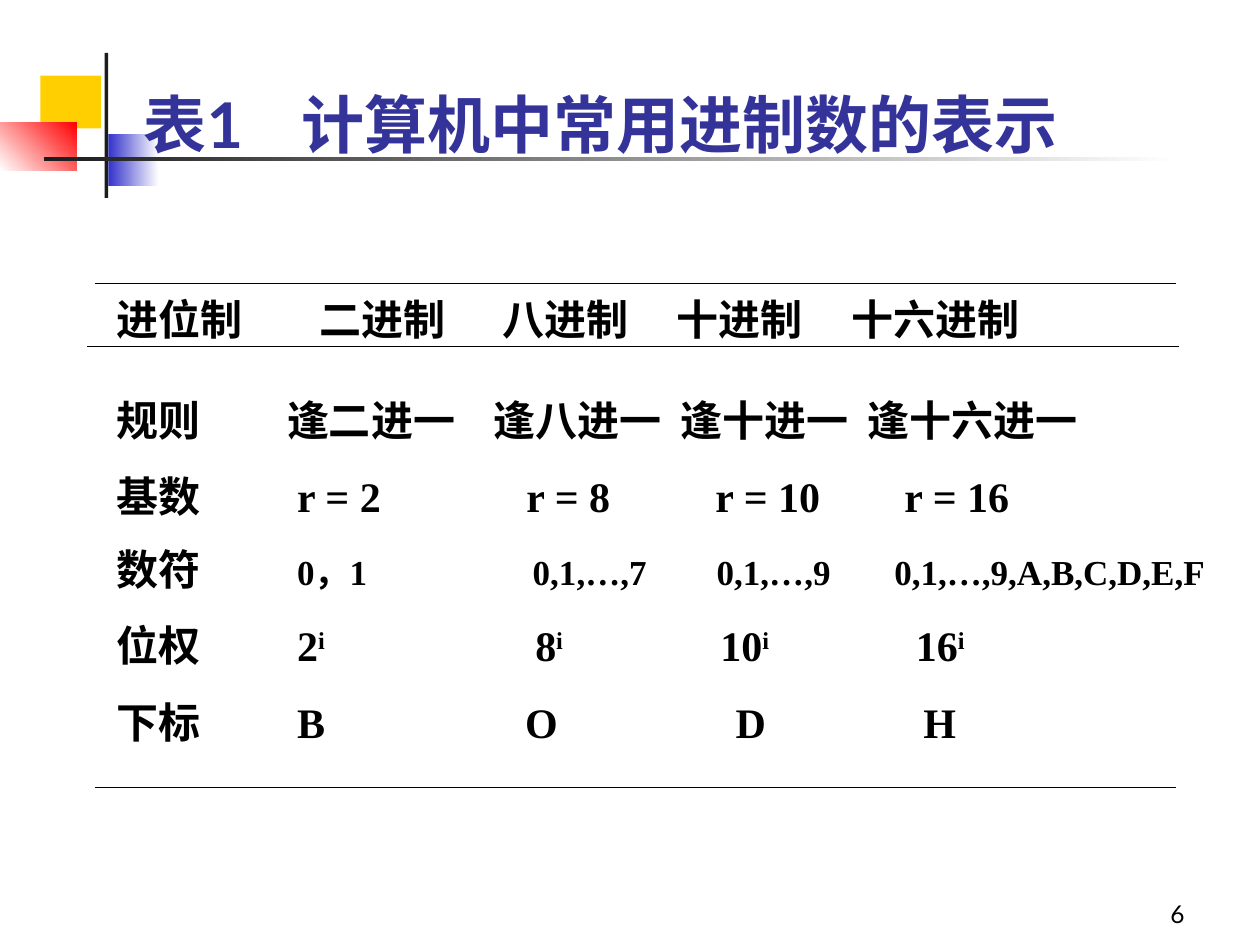
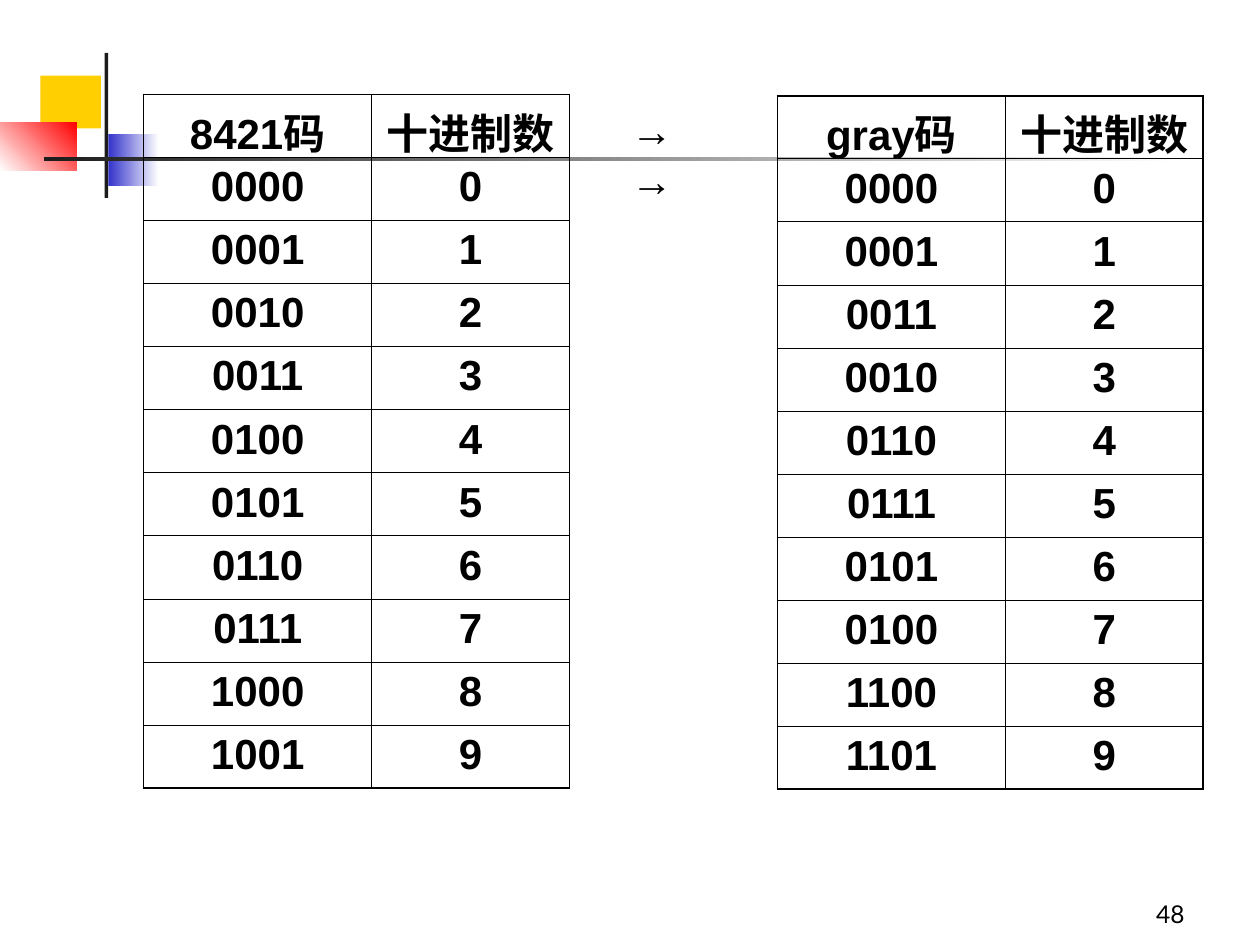
from lxml.etree import SubElement
from pptx import Presentation
from pptx.dml.color import RGBColor
from pptx.enum.shapes import MSO_CONNECTOR, MSO_SHAPE
from pptx.enum.text import MSO_ANCHOR, MSO_AUTO_SIZE, PP_ALIGN
from pptx.oxml.ns import qn
from pptx.util import Inches, Pt

BLACK = RGBColor(0x00, 0x00, 0x00)
WHITE = RGBColor(0xFF, 0xFF, 0xFF)
CHARCOAL = RGBColor(0x1C, 0x1C, 0x1C)
YELLOW = RGBColor(0xFF, 0xCF, 0x01)
BLUE = RGBColor(0x33, 0x33, 0xCC)
RED = RGBColor(0xFF, 0x00, 0x00)
TITLE_BLUE = RGBColor(0x33, 0x33, 0x99)

HEADING_FONT = "Lato"
BODY_FONT = "Times New Roman"
TABLE_FONT = "Arial"

TITLE_ONLY, BLANK = 5, 6

ORNAMENTS = [
    ((0.32, 0.6, 0.48, 0.42), (YELLOW,), 0),
    ((0.86, 1.06, 0.4, 0.42), (BLUE, WHITE), 0),
    ((0, 0.97, 0.61, 0.38), (WHITE, RED), 45),
    ((0.83, 0.42, 0.03, 1.15), (CHARCOAL,), 0),
    ((0.35, 1.25, 9, 0.03), (CHARCOAL, WHITE), 0),
]

RADIX_HEADER = ("进位制", ["二进制", "八进制", "十进制", "十六进制"],
                [1.61, 3.06, 4.44, 5.83], 24, "")
RADIX_ROWS = [
    ("规则", ["逢二进一", "逢八进一", "逢十进一", "逢十六进一"],
     [1.35, 2.99, 4.47, 5.96], 24, ""),
    ("基数", ["r = 2", "r = 8", "r = 10", "r = 16"],
     [1.43, 3.25, 4.75, 6.25], 24, ""),
    ("数符", ["0，1", "0,1,…,7", "0,1,…,9", "0,1,…,9,A,B,C,D,E,F"],
     [1.43, 3.3, 4.76, 6.17], 20, ""),
    ("位权", ["2", "8", "10", "16"], [1.43, 3.32, 4.79, 6.34], 24, "i"),
    ("下标", ["B", "O", "D", "H"], [1.43, 3.24, 4.91, 6.4], 24, ""),
]

CODES_8421 = [f"{digit:04b}" for digit in range(10)]
CODES_GRAY = ["0000", "0001", "0011", "0010", "0110",
              "0111", "0101", "0100", "1100", "1101"]


def inches(lengths):
    return [Inches(length) for length in lengths]


def style(paragraph, font_name, size, color=BLACK, bold=True):
    font = paragraph.font
    font.name, font.size, font.bold = font_name, Pt(size), bold
    font.color.rgb = color


def set_tabs(paragraph, stops):
    tabs = SubElement(paragraph._p.get_or_add_pPr(), qn("a:tabLst"))
    for stop in stops:
        SubElement(tabs, qn("a:tab"), pos=str(Inches(stop)), algn="l")


def add_ornaments(slide):
    for place, colors, angle in ORNAMENTS:
        ornament = slide.shapes.add_shape(MSO_SHAPE.RECTANGLE, *inches(place))
        ornament.shadow.inherit = False
        ornament.line.fill.background()
        if len(colors) == 1:
            ornament.fill.solid()
            ornament.fill.fore_color.rgb = colors[0]
            continue
        ornament.fill.gradient()
        ornament.fill.gradient_angle = angle
        for stop, color in zip(ornament.fill.gradient_stops, colors):
            stop.color.rgb = color


def add_text_frame(slide, place, wrap=True):
    frame = slide.shapes.add_textbox(*inches(place)).text_frame
    frame.word_wrap = wrap
    return frame


def add_page_number(slide, number):
    frame = add_text_frame(slide, (7.42, 6.92, 2.08, 0.5))
    frame.vertical_anchor = MSO_ANCHOR.BOTTOM
    paragraph = frame.paragraphs[0]
    paragraph.text = str(number)
    paragraph.alignment = PP_ALIGN.RIGHT
    style(paragraph, HEADING_FONT, 14, bold=False)


def add_base(presentation, layout, number):
    slide = presentation.slides.add_slide(presentation.slide_layouts[layout])
    add_ornaments(slide)
    add_page_number(slide, number)
    return slide


def set_title(slide, text, tab):
    title = slide.shapes.title
    slide.shapes._spTree.append(title._element)
    title.left, title.top, title.width, title.height = inches((0.92, 0.08, 8.5, 1.25))
    frame = title.text_frame
    frame.auto_size = MSO_AUTO_SIZE.NONE
    frame.vertical_anchor = MSO_ANCHOR.BOTTOM
    frame.margin_left = Inches(0.22)
    paragraph = frame.paragraphs[0]
    paragraph.text = text
    paragraph.alignment = PP_ALIGN.LEFT
    set_tabs(paragraph, [tab])
    style(paragraph, HEADING_FONT, 36, TITLE_BLUE)


def add_rule(slide, left, right, y):
    rule = slide.shapes.add_connector(
        MSO_CONNECTOR.STRAIGHT, *inches((left, y, right, y)))
    rule.line.color.rgb = BLACK
    rule.line.width = Pt(0.75)
    SubElement(rule._element.spPr, qn("a:effectLst"))


def fill_radix_row(paragraph, label, values, stops, value_size, exponent):
    set_tabs(paragraph, stops)
    style(paragraph, BODY_FONT, 24)
    paragraph.add_run().text = label
    for value in values:
        entry = paragraph.add_run()
        entry.text = "\t" + value
        if value_size != 24:
            entry.font.size = Pt(value_size)
        if exponent:
            power = paragraph.add_run()
            power.text = exponent
            power._r.get_or_add_rPr().set("baseline", "30000")


def add_radix_rows(slide, place, rows):
    frame = add_text_frame(slide, place)
    frame.margin_right = 0
    for index, row in enumerate(rows):
        paragraph = frame.add_paragraph() if index else frame.paragraphs[0]
        paragraph.space_before = Pt(row[3] * 0.625)
        fill_radix_row(paragraph, *row)


def set_border(cell, side, width):
    border = SubElement(cell._tc.get_or_add_tcPr(), qn(f"a:ln{side}"),
                        w=str(Pt(width)))
    fill = SubElement(border, qn("a:solidFill"))
    SubElement(fill, qn("a:srgbClr"), val=str(BLACK))


def add_code_table(slide, left, top, code_name, codes):
    rows = [(code_name, "十进制数")]
    rows += [(code, str(digit)) for digit, code in enumerate(codes)]
    last = len(rows) - 1
    table = slide.shapes.add_table(
        len(rows), 2, *inches((left, top, 3.38, 0.5 * len(rows)))).table
    table.first_row = table.horz_banding = False
    for column, width in zip(table.columns, (1.81, 1.57)):
        column.width = Inches(width)
    for r, row in enumerate(rows):
        table.rows[r].height = Inches(0.5)
        for c, text in enumerate(row):
            cell = table.cell(r, c)
            edges = {"L": c == 0, "R": c == 1, "T": r == 0, "B": r == last}
            for side, outer in edges.items():
                set_border(cell, side, 1.08 if outer else 0.45)
            cell.fill.background()
            paragraph = cell.text_frame.paragraphs[0]
            paragraph.text = text
            paragraph.alignment = PP_ALIGN.CENTER
            paragraph.space_before = Pt(6)
            style(paragraph, TABLE_FONT, 24)


def build_radix_slide(presentation):
    slide = add_base(presentation, TITLE_ONLY, 6)
    add_rule(slide, 0.75, 9.33, 2.25)
    add_radix_rows(slide, (0.83, 2.28, 8.02, 0.5), [RADIX_HEADER])
    add_rule(slide, 0.69, 9.36, 2.75)
    add_radix_rows(slide, (0.83, 3.08, 8.83, 2.9), RADIX_ROWS)
    add_rule(slide, 0.75, 9.33, 6.25)
    set_title(slide, "表1\t计算机中常用进制数的表示", 1.25)


def build_code_slide(presentation):
    slide = add_base(presentation, BLANK, 48)
    add_code_table(slide, 1.14, 0.75, "8421码", CODES_8421)
    add_code_table(slide, 6.17, 0.76, "gray码", CODES_GRAY)
    arrows = add_text_frame(slide, (4.91, 0.78, 0.86, 0.5), wrap=False).paragraphs[0]
    arrows.text = "→→"
    style(arrows, BODY_FONT, 24)


def main():
    presentation = Presentation()
    presentation.slide_width, presentation.slide_height = inches((10, 7.5))
    build_radix_slide(presentation)
    build_code_slide(presentation)
    presentation.save("out.pptx")


if __name__ == "__main__":
    main()
